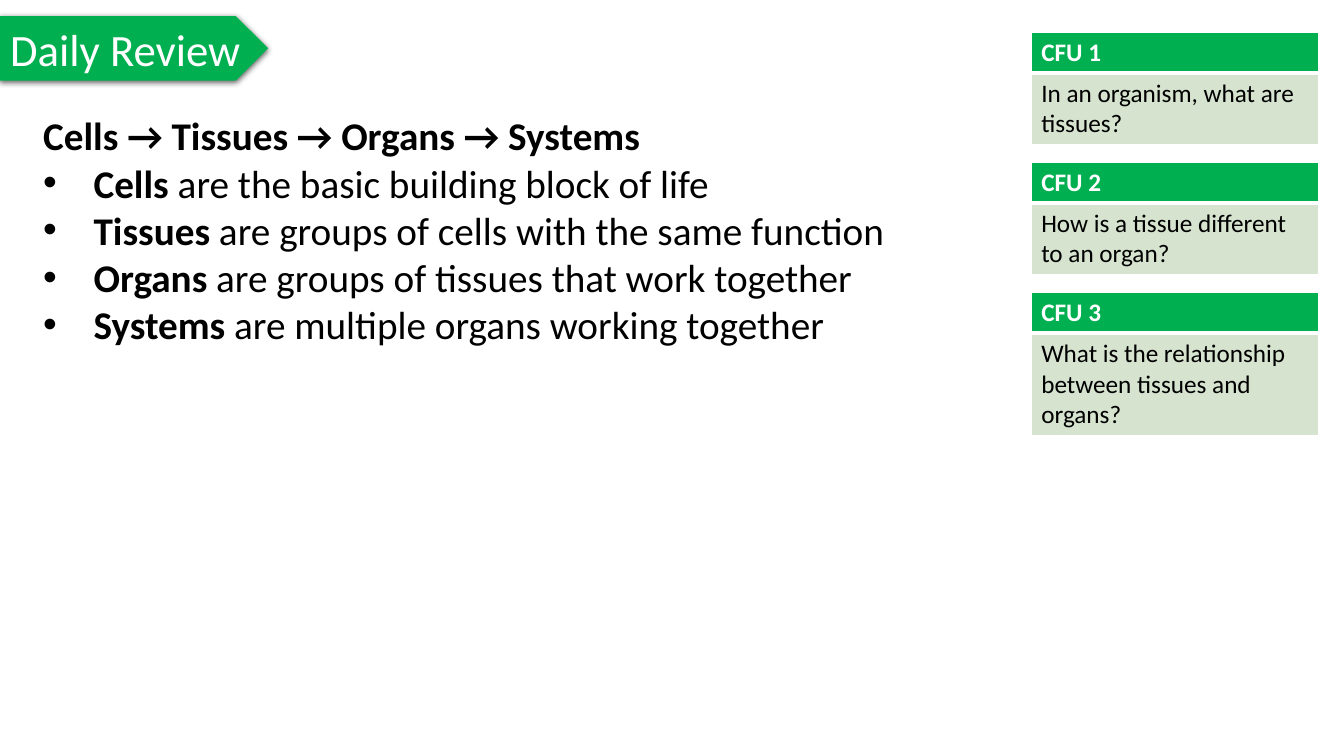
from lxml import etree
from pptx import Presentation
from pptx.dml.color import RGBColor
from pptx.enum.shapes import MSO_SHAPE
from pptx.enum.text import MSO_ANCHOR, MSO_AUTO_SIZE, PP_ALIGN
from pptx.oxml import parse_xml
from pptx.oxml.ns import nsdecls, qn
from pptx.util import Pt

PLATE = MSO_SHAPE.PENTAGON
MIDDLE = MSO_ANCHOR.MIDDLE
FIXED = MSO_AUTO_SIZE.NONE
LEFT = PP_ALIGN.LEFT

COLORS = {"green": "00B050", "pale": "D5E3CF", "white": "FFFFFF", "black": "000000"}
FONT = "Calibri"

FACTS = [
    ("Cells", " are the basic building block of life"),
    ("Tissues", " are groups of cells with the same function"),
    ("Organs", " are groups of tissues that work together"),
    ("Systems", " are multiple organs working together"),
]
CHECKS = [
    ("In an organism, what are tissues?", 2),
    ("How is a tissue different to an organ?", 2),
    ("What is the relationship between tissues and organs?", 3),
]


class Deck:
    def __init__(self, wide, high):
        self.prs = Presentation()
        self.prs.slide_width, self.prs.slide_height = Pt(wide), Pt(high)
        self.slide = self.prs.slides.add_slide(self.prs.slide_layouts[5])

    def color(self, name):
        return RGBColor.from_string(COLORS[name])

    def run(self, para, text, size, color="black", bold=False):
        run = para.add_run()
        run.text = text
        font = run.font
        font.name, font.size, font.bold = FONT, Pt(size), bold
        font.color.rgb = self.color(color)

    def banner(self, box):
        plate = self.slide.shapes.add_shape(PLATE, *map(Pt, box))
        plate.fill.solid()
        plate.fill.fore_color.rgb = self.color("green")
        plate.line.fill.background()
        plate.shadow.inherit = False
        glow = plate._element.spPr.find(qn("a:effectLst"))
        glow.append(parse_xml(
            f'<a:outerShdw {nsdecls("a")} blurRad="{Pt(4.5)}" dist="{Pt(1.5)}" '
            f'dir="5400000" rotWithShape="0"><a:srgbClr val="{COLORS["black"]}">'
            '<a:alpha val="63000"/></a:srgbClr></a:outerShdw>'))

    def title(self, text, box):
        shape = self.slide.shapes.title
        shape.left, shape.top, shape.width, shape.height = map(Pt, box)
        frame = shape.text_frame
        frame.word_wrap, frame.auto_size = True, FIXED
        frame.vertical_anchor = MIDDLE
        para = frame.paragraphs[0]
        para.alignment = LEFT
        self.run(para, text, 32, "white")
        # The title lies in front of its banner.
        self.slide.shapes._spTree.append(shape._element)

    def notes(self, head, facts, box):
        frame = self.slide.shapes.add_textbox(*map(Pt, box)).text_frame
        frame.word_wrap = True
        self.run(frame.paragraphs[0], head, 28, bold=True)
        for term, rest in facts:
            para = frame.add_paragraph()
            props = para._p.get_or_add_pPr()
            props.set("marL", str(Pt(36)))
            props.set("indent", str(Pt(-36)))
            etree.SubElement(props, qn("a:buFont")).set("typeface", "Arial")
            etree.SubElement(props, qn("a:buChar")).set("char", "•")
            self.run(para, term, 28, bold=True)
            self.run(para, rest, 28)

    def edges(self, cell, widths):
        """Draw white borders; widths are left, right, top, bottom."""
        props = cell._tc.get_or_add_tcPr()
        for spot, (side, width) in enumerate(zip("LRTB", widths)):
            props.insert(spot, parse_xml(
                f'<a:ln{side} {nsdecls("a")} w="{Pt(width)}"><a:solidFill>'
                f'<a:srgbClr val="{COLORS["white"]}"/></a:solidFill></a:ln{side}>'))

    def card(self, head, ask, box, split):
        """Add a two-row table whose first row is split points high."""
        table = self.slide.shapes.add_table(2, 1, *map(Pt, box)).table
        rows = [
            (head, split, "green", "white", True, (1, 1, 1, 3)),
            (ask, box[3] - split, "pale", "black", False, (1, 1, 3, 1)),
        ]
        for i, (text, high, fill, ink, bold, widths) in enumerate(rows):
            table.rows[i].height = Pt(high)
            cell = table.cell(i, 0)
            cell.fill.solid()
            cell.fill.fore_color.rgb = self.color(fill)
            self.edges(cell, widths)
            self.run(cell.text_frame.paragraphs[0], text, 18, ink, bold)


def main():
    deck = Deck(960, 540)
    plate = (0, 11.5, 191.5, 46)
    deck.banner(plate)
    deck.title("Daily Review", plate)
    for i, (ask, lines) in enumerate(CHECKS):
        box = (736.6, 23 + 92.9 * i, 205.2, 36 + 21.6 * lines)
        deck.card(f"CFU {i + 1}", ask, box, 28)
    chain = " → ".join(term for term, _ in FACTS)
    deck.notes(chain, FACTS, (23.8, 76.3, 633.6, 177))
    deck.prs.save("out.pptx")


if __name__ == "__main__":
    main()
